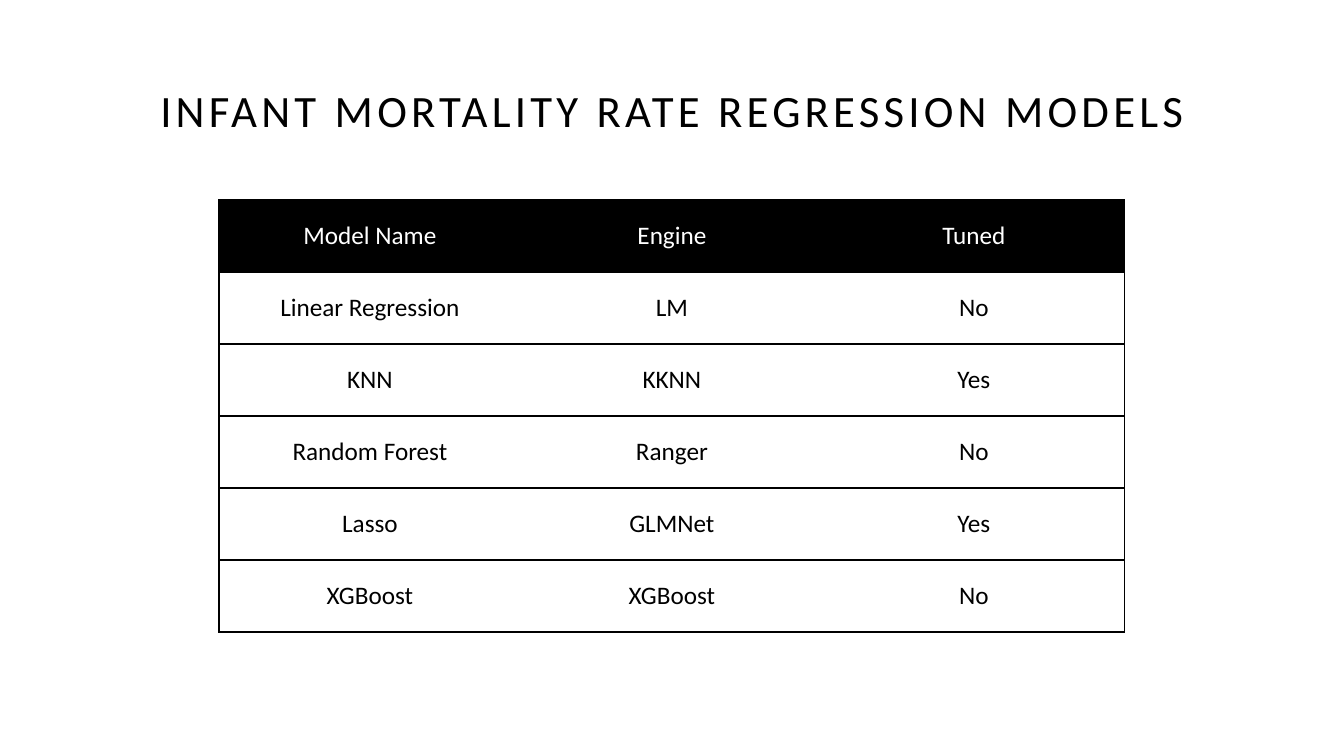
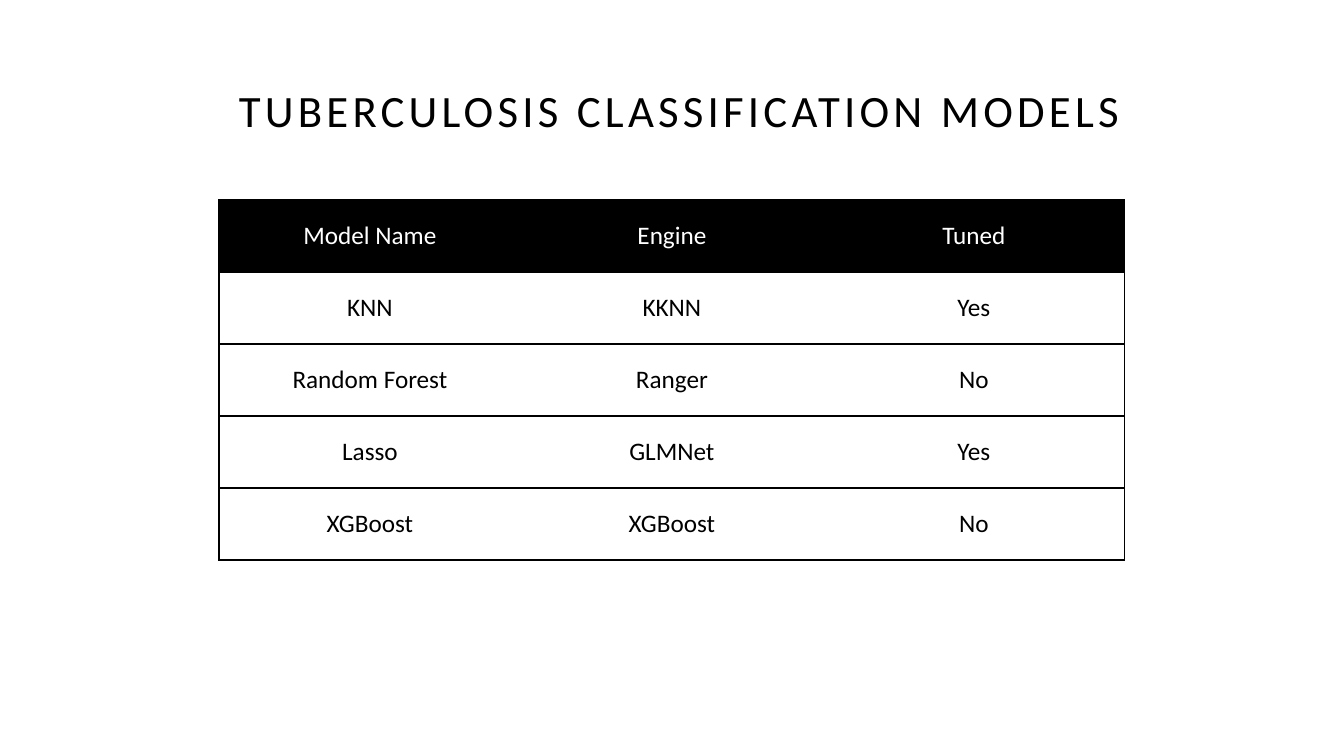
from dataclasses import dataclass

from pptx import Presentation
from pptx.dml.color import RGBColor
from pptx.enum.text import MSO_ANCHOR as Anchor, PP_ALIGN as Align
from pptx.oxml import parse_xml
from pptx.oxml.ns import nsdecls
from pptx.util import Emu, Pt


@dataclass(frozen=True)
class Theme:
    font: str = "Calibri"
    black: str = "000000"
    white: str = "FFFFFF"
    title_pt: int = 32
    title_spacing: int = 300
    cell_pt: int = 18
    border_pt: int = 1


THEME = Theme()
SLIDE_W, SLIDE_H = 1344, 756
TITLE_Y, TITLE_W, TITLE_H = 40, 1159, 146
TABLE_X, TABLE_Y, COL_W, ROW_H = 219, 200, 302, 72

HEADER = ("Model Name", "Engine", "Tuned")
SHARED_ROWS = [
    ("KNN", "KKNN", "Yes"),
    ("Random Forest", "Ranger", "No"),
    ("Lasso", "GLMNet", "Yes"),
    ("XGBoost", "XGBoost", "No"),
]
# title, left edge of the title, table rows
SLIDES = [
    ("INFANT MORTALITY RATE REGRESSION MODELS", 93,
     [HEADER, ("Linear Regression", "LM", "No"), *SHARED_ROWS]),
    ("TUBERCULOSIS CLASSIFICATION MODELS", 100, [HEADER, *SHARED_ROWS]),
]


def px(n):
    """Turn px into EMU; the slide is 1344 px wide."""
    return Emu(round(n * 12192000 / SLIDE_W))


def write(tf, text, size, color, spacing=0, line_spacing=None):
    p = tf.paragraphs[0]
    p.alignment = Align.CENTER
    p.line_spacing = line_spacing
    r = p.add_run()
    r.text = text
    r.font.name = THEME.font
    r.font.size = Pt(size)
    r.font.color.rgb = RGBColor.from_string(color)
    if spacing:
        r.font._element.set("spc", str(spacing))


prs = Presentation()
prs.slide_width, prs.slide_height = px(SLIDE_W), px(SLIDE_H)

for title, title_x, rows in SLIDES:
    s = prs.slides.add_slide(prs.slide_layouts[6])

    tf = s.shapes.add_textbox(px(title_x), px(TITLE_Y), px(TITLE_W), px(TITLE_H)).text_frame
    tf.word_wrap = True
    tf.vertical_anchor = Anchor.MIDDLE
    write(tf, title, THEME.title_pt, THEME.black,
          spacing=THEME.title_spacing, line_spacing=0.9)

    n_rows, n_cols = len(rows), len(HEADER)
    table = s.shapes.add_table(n_rows, n_cols, px(TABLE_X), px(TABLE_Y),
                               px(n_cols * COL_W), px(n_rows * ROW_H)).table
    table.first_row = True
    table.horz_banding = False

    for i, row in enumerate(rows):
        table.rows[i].height = px(ROW_H)
        fill, ink = (THEME.black, THEME.white) if i == 0 else (THEME.white, THEME.black)
        for j, text in enumerate(row):
            table.columns[j].width = px(COL_W)
            cell = table.cell(i, j)
            cell.vertical_anchor = Anchor.MIDDLE
            write(cell.text_frame, text, THEME.cell_pt, ink)

            # rules between rows, and one frame around the table
            ruled = {"L": j == 0, "R": j == n_cols - 1, "T": True, "B": True}
            tc_pr = cell._tc.get_or_add_tcPr()
            for side, shown in ruled.items():
                paint = (f'<a:solidFill><a:srgbClr val="{THEME.black}"/></a:solidFill>'
                         if shown else "<a:noFill/>")
                tc_pr.append(parse_xml(
                    f'<a:ln{side} {nsdecls("a")} w="{Pt(THEME.border_pt)}">{paint}</a:ln{side}>'))
            cell.fill.solid()
            cell.fill.fore_color.rgb = RGBColor.from_string(fill)

prs.save("out.pptx")
